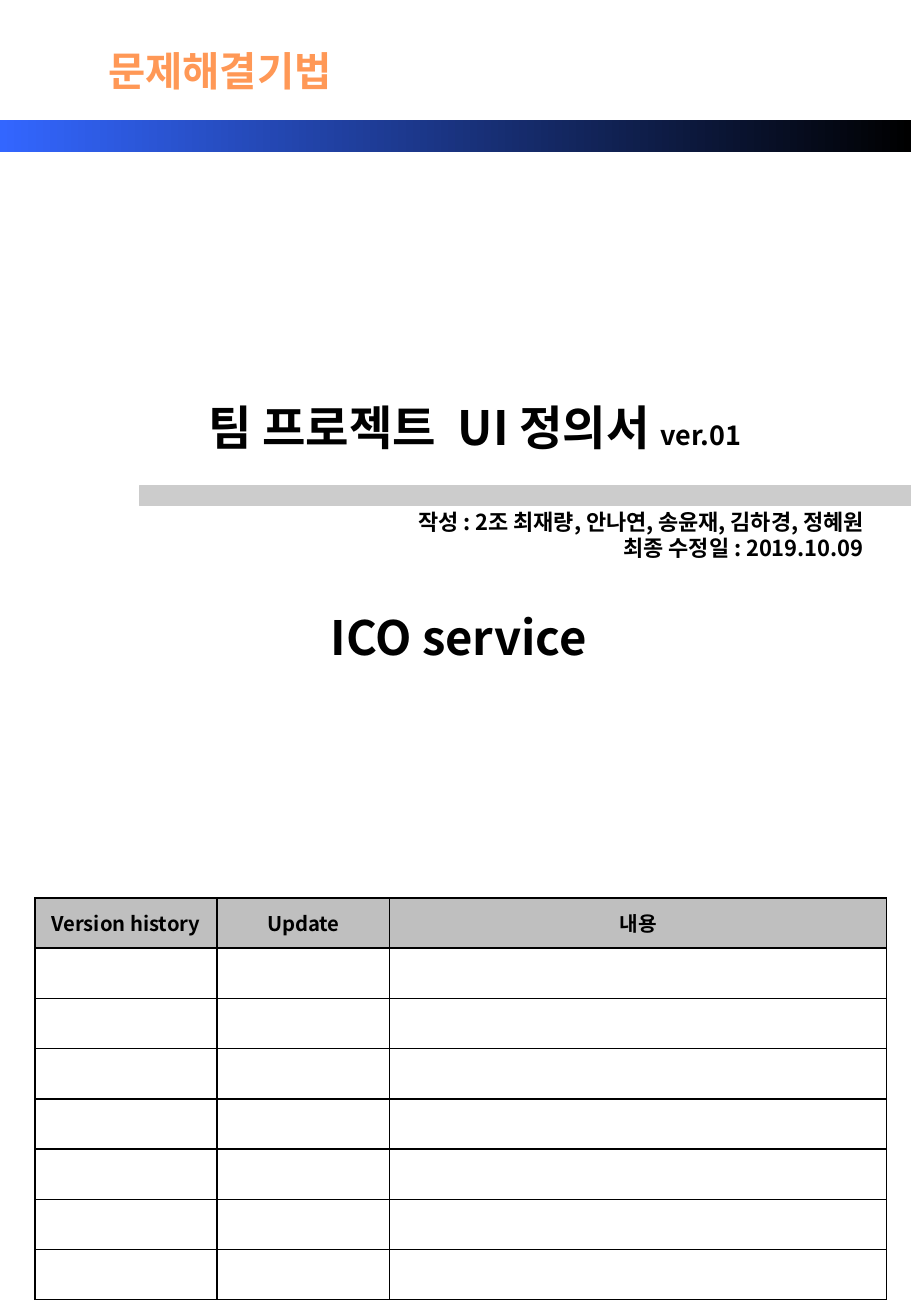
from lxml import etree
from pptx import Presentation
from pptx.dml.color import RGBColor
from pptx.enum.shapes import MSO_SHAPE
from pptx.enum.text import MSO_ANCHOR, MSO_AUTO_SIZE, PP_ALIGN
from pptx.oxml.ns import qn
from pptx.util import Cm, Pt

RECTANGLE = MSO_SHAPE.RECTANGLE
TOP, MIDDLE = MSO_ANCHOR.TOP, MSO_ANCHOR.MIDDLE
CENTER, RIGHT = PP_ALIGN.CENTER, PP_ALIGN.RIGHT
NO_AUTOFIT = MSO_AUTO_SIZE.NONE
TITLE_ONLY = 5
BORDER_TAGS = ("a:lnL", "a:lnR", "a:lnT", "a:lnB")


def rgb(hex_color):
    """Turn a hex string into a colour."""
    return RGBColor.from_string(hex_color)


def place(shape, box):
    """Move and size a shape to (left, top, width, height) in cm."""
    shape.left, shape.top, shape.width, shape.height = map(Cm, box)


class CoverSlide:
    """Holds the style and the current slide."""

    font = "Noto Sans CJK KR"
    ink, accent, rule_gray = "000000", "FF9856", "CCCCCC"
    header_fill, body_fill = "BFBFBF", "FFFFFF"
    line_spacing = 0.88
    table_size = 12

    def __init__(self, presentation):
        """Add a title-only slide."""
        layout = presentation.slide_layouts[TITLE_ONLY]
        self.slide = presentation.slides.add_slide(layout)

    def add_run(self, paragraph, text, size, color=None, tracking=0):
        """Add one bold run, with optional tracking in points."""
        run = paragraph.add_run()
        run.text = text
        run.font.name, run.font.size, run.font.bold = self.font, Pt(size), True
        run.font.color.rgb = rgb(color or self.ink)
        properties = run.font._element
        etree.SubElement(properties, qn("a:ea")).set("typeface", self.font)
        if tracking:
            properties.set("spc", str(round(tracking * 100)))

    def style_frame(self, frame, wrap=True):
        """Give a text frame the common settings."""
        frame.word_wrap = wrap
        frame.auto_size = NO_AUTOFIT
        frame.vertical_anchor = TOP

    def title(self, box, runs, indent):
        """Fill the title placeholder; runs are (text, size, tracking)."""
        title = self.slide.shapes.title
        place(title, box)
        self.style_frame(title.text_frame)
        title.text_frame.margin_left = Cm(indent)
        paragraph = title.text_frame.paragraphs[0]
        paragraph.alignment = CENTER
        paragraph.line_spacing = self.line_spacing
        for text, size, tracking in runs:
            self.add_run(paragraph, text, size, tracking=tracking)

    def text(self, box, lines, size, align=CENTER, color=None, wrap=True):
        """Add a text box with one paragraph per line."""
        frame = self.slide.shapes.add_textbox(*map(Cm, box)).text_frame
        self.style_frame(frame, wrap)
        for index, line in enumerate(lines):
            paragraph = frame.add_paragraph() if index else frame.paragraphs[0]
            paragraph.alignment = align
            paragraph.line_spacing = self.line_spacing
            paragraph.space_before = Pt(2 if index else 0)
            self.add_run(paragraph, line, size, color)

    def bar(self, box, *colors):
        """Add a bar, solid for one colour or shaded for two."""
        bar = self.slide.shapes.add_shape(RECTANGLE, *map(Cm, box))
        bar.shadow.inherit = False
        if len(colors) == 1:
            bar.fill.solid()
            bar.fill.fore_color.rgb = rgb(colors[0])
            bar.line.color.rgb = rgb(colors[0])
            bar.line.width = Pt(0.75)
            return
        bar.line.fill.background()
        bar.fill.gradient()
        bar.fill.gradient_angle = 0
        for position, (stop, color) in enumerate(zip(bar.fill.gradient_stops, colors)):
            stop.position = position
            stop.color.rgb = rgb(color)

    def border(self, cell):
        """Draw a one-point line on all sides of a cell."""
        properties = cell._tc.get_or_add_tcPr()
        for index, tag in enumerate(BORDER_TAGS):
            line = etree.Element(qn(tag), w=str(Pt(1)))
            fill = etree.SubElement(line, qn("a:solidFill"))
            etree.SubElement(fill, qn("a:srgbClr"), val=self.ink)
            properties.insert(index, line)

    def table(self, left, top, widths, row_height, headings, blank_rows):
        """Add a ruled table with a heading row and blank rows."""
        row_count = blank_rows + 1
        table = self.slide.shapes.add_table(
            row_count, len(widths), Cm(left), Cm(top),
            Cm(sum(widths)), Cm(row_height * row_count)).table
        for column, width in zip(table.columns, widths):
            column.width = Cm(width)
        for row_index, row in enumerate(table.rows):
            row.height = Cm(row_height)
            for cell, heading in zip(row.cells, headings):
                cell.fill.solid()
                cell.fill.fore_color.rgb = rgb(self.body_fill if row_index else self.header_fill)
                cell.vertical_anchor = MIDDLE
                self.border(cell)
                paragraph = cell.text_frame.paragraphs[0]
                paragraph.alignment = CENTER
                if row_index:
                    end = etree.SubElement(paragraph._p, qn("a:endParaRPr"))
                    end.set("sz", str(self.table_size * 100))
                else:
                    self.add_run(paragraph, heading, self.table_size)


presentation = Presentation()
presentation.slide_width, presentation.slide_height = Cm(19.05), Cm(27.51)
cover = CoverSlide(presentation)

cover.bar((0, 2.51, 19.05, 0.67), "3366FF", "000000")
cover.text((1.78, 0.97, 5.64, 1.27), ["문제해결기법"], 24, color=cover.accent, wrap=False)
cover.title((0.53, 8.36, 18.01, 3.2),
            [("팀 프로젝트", 28, 0), (" ", 28, 6.5), ("UI 정의서 ", 28, 0), ("ver.01", 16, 0)],
            indent=1.04)
cover.text((2.92, 12.75, 13.34, 2.21), ["ICO service"], 28)
cover.bar((2.92, 10.16, 16.13, 0.41), cover.rule_gray)
cover.table(0.73, 18.77, (3.81, 3.61, 10.39), 1.05,
            ("Version history", "Update", "내용"), blank_rows=7)
cover.text((2.92, 10.57, 15.39, 1.6),
           ["작성 : 2조 최재량, 안나연, 송윤재, 김하경, 정혜원", "최종 수정일 : 2019.10.09"],
           13, align=RIGHT)

presentation.save("out.pptx")
